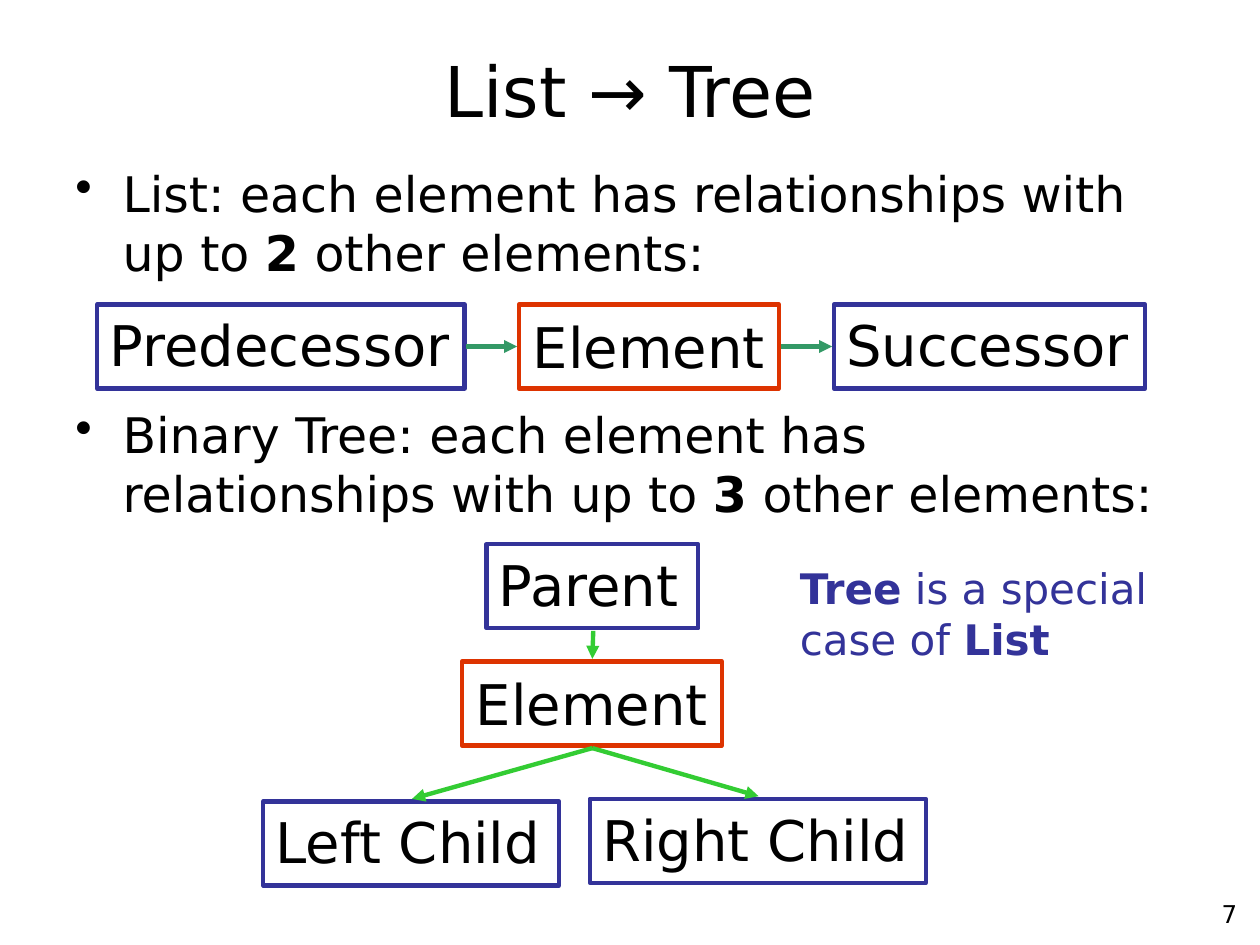
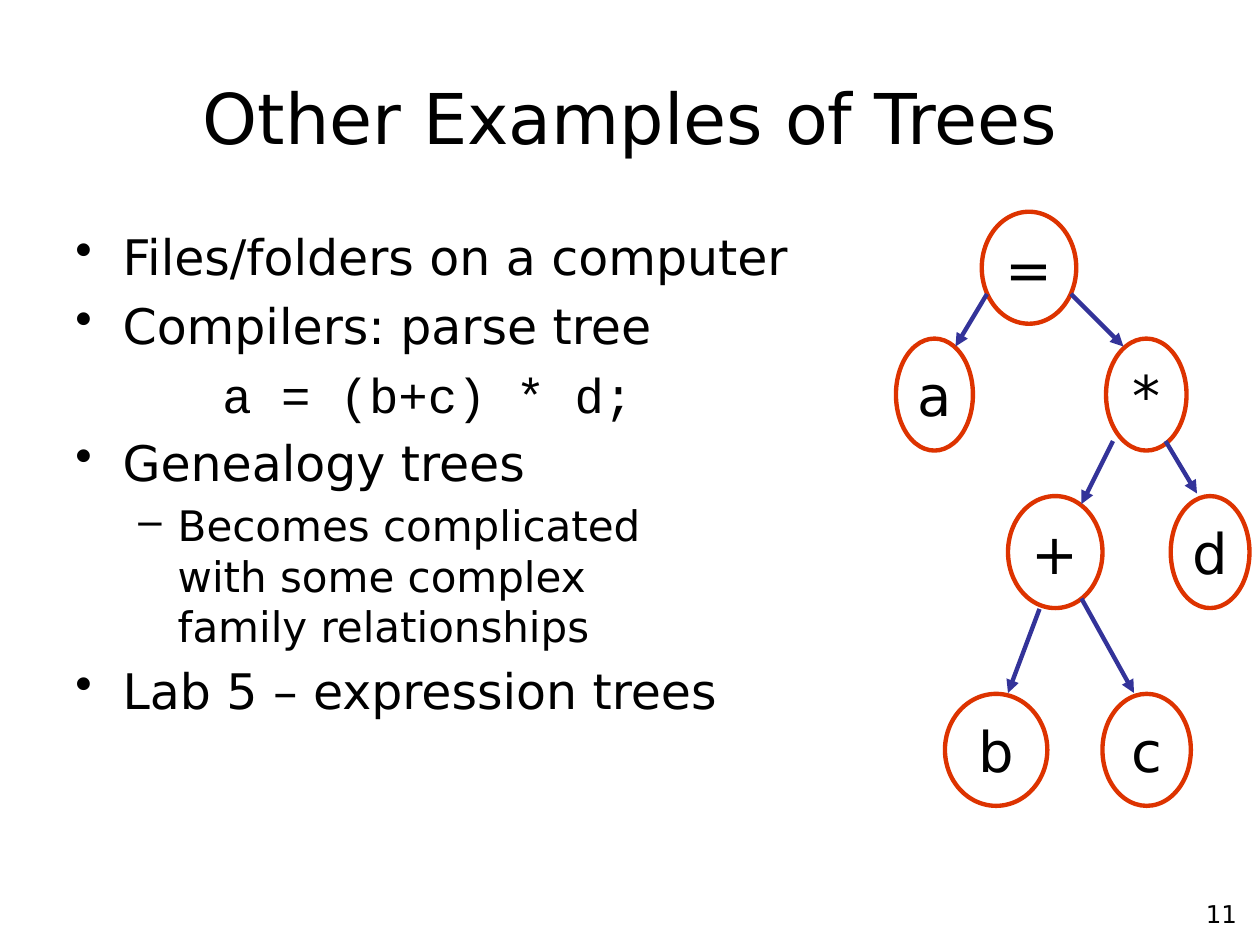
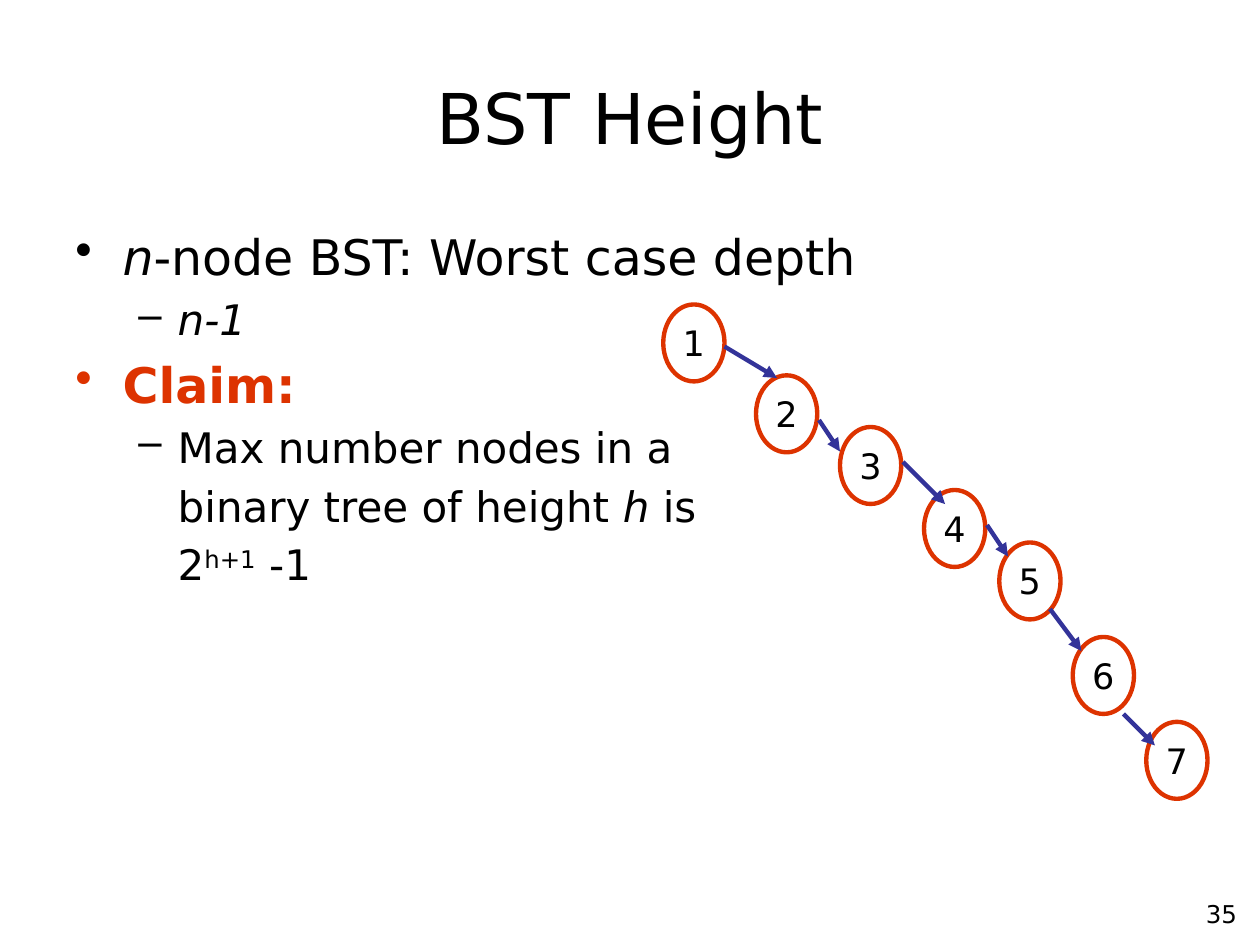
import pptx
import pptx.dml.color
import pptx.enum.shapes
import pptx.enum.text
import pptx.oxml
import pptx.oxml.ns
import pptx.util
from lxml import etree

Pt = pptx.util.Pt
RGBColor = pptx.dml.color.RGBColor
Anchor = pptx.enum.text.MSO_ANCHOR
Align = pptx.enum.text.PP_ALIGN
Shape = pptx.enum.shapes.MSO_SHAPE
qn = pptx.oxml.ns.qn

BLACK = RGBColor(0x00, 0x00, 0x00)
RED = RGBColor(0xDD, 0x33, 0x00)
BLUE = RGBColor(0x33, 0x33, 0x99)
TEAL = RGBColor(0x33, 0x99, 0x66)
GREEN = RGBColor(0x33, 0xCC, 0x33)


class Deck:
    """Holds the shared style and the slide being drawn."""

    font = "DejaVu Sans"
    code_font = "Courier New"
    line_width = 2.5
    title_size = 40
    number_size = 14
    # level: (text size, left margin, hanging indent, bullet)
    levels = {0: (28, 27, -27, "\u2022"), 1: (24, 58.5, -22.5, "\u2013")}

    def __init__(self):
        """Start an empty 10 by 7.5 inch presentation."""
        self.presentation = pptx.Presentation()
        self.presentation.slide_width = Pt(720)
        self.presentation.slide_height = Pt(540)
        self.slide = None

    def new_slide(self, title, number, title_top=21.6):
        """Add a slide with its title and number."""
        self.slide = self.presentation.slides.add_slide(self.presentation.slide_layouts[6])
        frame = self.text_frame(36, title_top, 648, 90)
        frame.vertical_anchor = Anchor.MIDDLE
        self.set_text(frame.paragraphs[0], title, self.title_size, align=Align.CENTER)
        frame = self.text_frame(564, 510, 150, 26.5)
        self.set_text(frame.paragraphs[0], number, self.number_size, align=Align.RIGHT)

    def text_frame(self, left, top, width, height):
        """Add a wrapping text box and return its frame."""
        box = self.slide.shapes.add_textbox(Pt(left), Pt(top), Pt(width), Pt(height))
        box.text_frame.word_wrap = True
        return box.text_frame

    def set_text(self, paragraph, content, size, color=BLACK, align=Align.LEFT, font=None):
        """Fill a paragraph with a string or with (text, style) pairs."""
        paragraph.alignment = align
        paragraph.font.size = Pt(size)
        paragraph.font.name = font or self.font
        paragraph.font.color.rgb = color
        pairs = [(content, "")] if isinstance(content, str) else content
        for text, style in pairs:
            for index, line in enumerate(text.split("\n")):
                if index:
                    paragraph.add_line_break()
                run = paragraph.add_run()
                run.text = line
                if style == "bold":
                    run.font.bold = True
                elif style == "italic":
                    run.font.italic = True
                elif style == "superscript":
                    run.font._element.set("baseline", "30000")

    def body(self, items, top=126):
        """Add the main text from (level, content, options) items."""
        frame = self.text_frame(36, top, 648, 356.5)
        for index, (level, content, options) in enumerate(items):
            paragraph = frame.paragraphs[0] if index == 0 else frame.add_paragraph()
            self.body_paragraph(paragraph, level, content, **options)

    def body_paragraph(self, paragraph, level, content, bullet=True, margin=None,
                       space=None, color=BLACK, font=None):
        """Set one body paragraph with its indent and bullet."""
        size, left, hanging, character = self.levels[level]
        paragraph.level = level
        paragraph.space_before = Pt(size * 0.2 if space is None else space)
        properties = paragraph._p.get_or_add_pPr()
        properties.set("marL", str(Pt(left if margin is None else margin)))
        properties.set("indent", str(Pt(hanging) if bullet else 0))
        if bullet:
            bullet_color = etree.SubElement(properties, qn("a:buClr"))
            etree.SubElement(bullet_color, qn("a:srgbClr")).set("val", str(color))
            etree.SubElement(properties, qn("a:buChar")).set("char", character)
        else:
            etree.SubElement(properties, qn("a:buNone"))
        self.set_text(paragraph, content, size, color, font=font)

    def outline(self, kind, text, left, top, width, height, color, size, centred=True):
        """Add an unfilled preset shape with a label."""
        shape = self.slide.shapes.add_shape(kind, Pt(left), Pt(top), Pt(width), Pt(height))
        shape.shadow.inherit = False
        shape.fill.background()
        shape.line.color.rgb = color
        shape.line.width = Pt(self.line_width)
        frame = shape.text_frame
        frame.word_wrap = False
        frame.vertical_anchor = Anchor.MIDDLE if centred else Anchor.TOP
        self.set_text(frame.paragraphs[0], text, size,
                      align=Align.CENTER if centred else Align.LEFT)

    def relative_box(self, text, left, top, width):
        """Add a blue box for a neighbour of the element."""
        self.outline(Shape.RECTANGLE, text, left, top, width, 48, BLUE, 32, centred=False)

    def element_box(self, left, top):
        """Add the red box of the element itself."""
        self.outline(Shape.RECTANGLE, "Element", left, top, 148.5, 48, RED, 32)

    def node(self, text, left, top, width, height, size):
        """Add a tree node."""
        self.outline(Shape.OVAL, text, left, top, width, height, RED, size)

    def arrow(self, start_x, start_y, end_x, end_y, color=BLUE):
        """Add a straight line with a triangle at its end."""
        connector = self.slide.shapes.add_connector(
            pptx.enum.shapes.MSO_CONNECTOR.STRAIGHT,
            Pt(start_x), Pt(start_y), Pt(end_x), Pt(end_y))
        connector.line.color.rgb = color
        connector.line.width = Pt(self.line_width)
        line = connector.line._get_or_add_ln()
        etree.SubElement(line, qn("a:tailEnd")).set("type", "triangle")
        etree.SubElement(connector._element.spPr, qn("a:effectLst"))


def list_to_tree(deck):
    """Compare the neighbours in a list and in a binary tree."""
    deck.new_slide("List \u2192 Tree", "7", title_top=6)
    deck.body([
        (0, [("List: each element has relationships with up to ", ""), ("2", "bold"),
             (" other elements:", "")], {}),
        (0, [("Binary Tree: each element has relationships with up to ", ""), ("3", "bold"),
             (" other elements:", "")], {"space": 70.5}),
    ], top=90)

    row_top = 174
    deck.relative_box("Predecessor", 55.5, row_top, 210)
    deck.element_box(296.5, row_top)
    deck.relative_box("Successor", 476.5, row_top, 178)
    for start in (266.5, 446.5):
        deck.arrow(start, row_top + 24, start + 29, row_top + 24, TEAL)

    deck.relative_box("Parent", 278, 311, 121)
    deck.element_box(264, 378)
    deck.relative_box("Left Child", 150.5, 458, 169)
    deck.relative_box("Right Child", 337, 456.5, 192)
    deck.arrow(339, 360.5, 338.5, 376.5, GREEN)
    for end_x, end_y in ((235.5, 456.5), (433.5, 455)):
        deck.arrow(338.5, 427.5, end_x, end_y, GREEN)

    note = deck.text_frame(450, 318, 224, 65)
    deck.set_text(note.paragraphs[0], [("Tree", "bold"), (" is a special\ncase of ", ""),
                                       ("List", "bold")], 24, BLUE)


def other_examples(deck):
    """List uses of trees beside a parse tree."""
    deck.new_slide("Other Examples of Trees", "11")
    deck.body([
        (0, "Files/folders on a computer", {}),
        (0, "Compilers: parse tree", {}),
        (0, "a = (b+c) * d;", {"bullet": False, "margin": 84, "font": deck.code_font}),
        (0, "Genealogy trees", {}),
        (1, "Becomes complicated\nwith some complex\nfamily relationships", {}),
        (0, "Lab 5 \u2013 expression trees", {}),
    ])
    tree_rows = [
        (121, [("=", 561, 54)]),
        (193.5, [("a", 512, 44), ("*", 632, 46)]),
        (283.5, [("+", 576, 54), ("d", 669, 45)]),
        (396.5, [("b", 540, 58.5), ("c", 630, 50.5)]),
    ]
    for top, nodes in tree_rows:
        for text, left, width in nodes:
            deck.node(text, left, top, width, 64, 32)
    for ends in [(564, 168, 546, 198), (612, 168, 642, 198), (636, 252, 618, 288),
                 (666, 252, 684, 282), (594, 348, 576, 396), (618, 342, 648, 396)]:
        deck.arrow(*ends)


def bst_height(deck):
    """Show the worst case depth as a chain of nodes."""
    deck.new_slide("BST Height", "35")
    deck.body([
        (0, [("n", "italic"), ("-node BST: Worst case depth", "")], {}),
        (1, [("n-1", "italic")], {}),
        (0, [("Claim:", "bold")], {"color": RED}),
        (1, "Max number nodes in a", {}),
        (1, [("binary tree of height ", ""), ("h", "italic"), (" is", "")], {"bullet": False}),
        (1, [("2", ""), ("h+1", "superscript"), (" -1", "")], {"bullet": False}),
    ])
    chain = [(379, 174), (432, 214.5), (480, 244), (528, 280), (571, 310), (613, 364),
             (655, 412.5)]
    for number, (left, top) in enumerate(chain, start=1):
        deck.node(str(number), left, top, 35, 44, 20)
    for ends in [(414, 198, 444, 216), (468, 240, 480, 258), (516, 264, 540, 288),
                 (564, 300, 576, 318), (600, 348, 618, 372), (642, 408, 660, 426)]:
        deck.arrow(*ends)


deck = Deck()
list_to_tree(deck)
other_examples(deck)
bst_height(deck)
deck.presentation.save("out.pptx")
